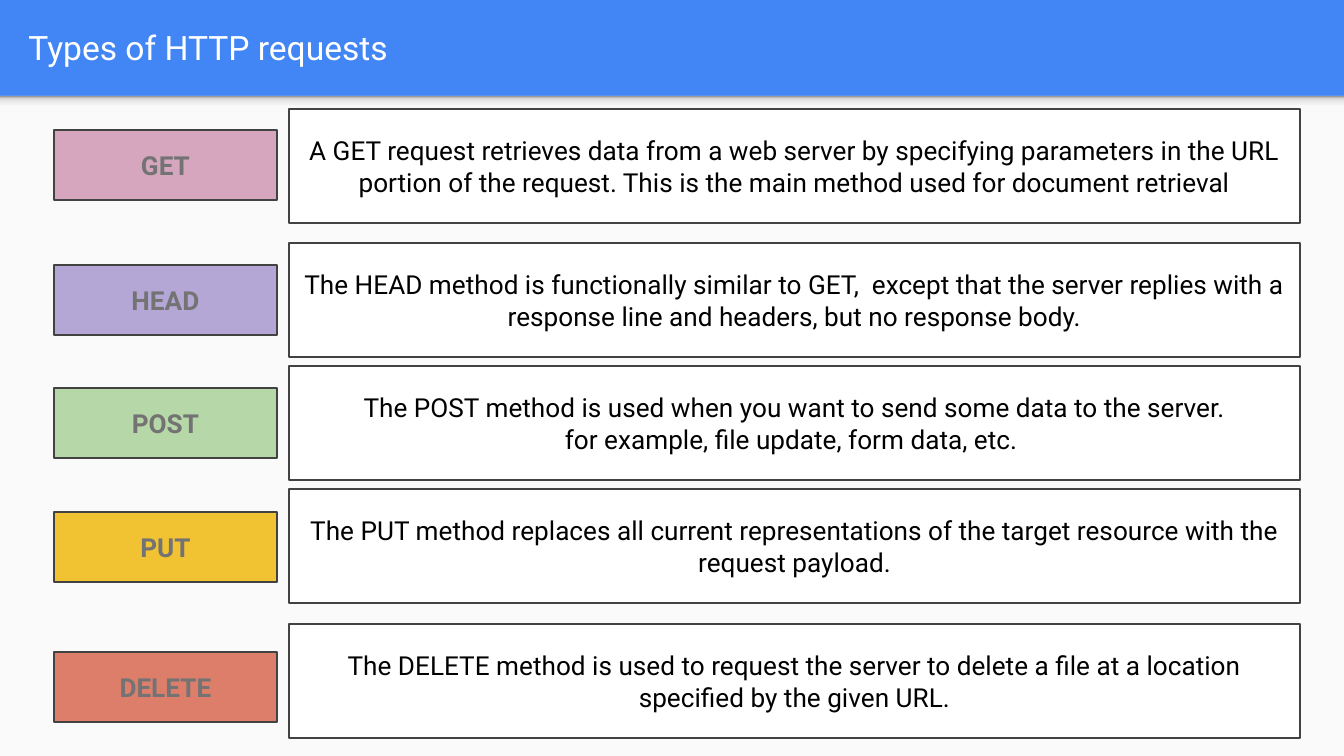
from copy import deepcopy

from pptx import Presentation
from pptx import util as u
from pptx.dml.color import RGBColor
from pptx.enum import shapes, text
from pptx.oxml.ns import qn

SCALE = 9144000 / 1344  # EMU per px


def px(*lengths):
    return [u.Emu(round(length * SCALE)) for length in lengths]


def write(box, words, size=14, color="000000", bold=False, align=text.PP_ALIGN.CENTER):
    frame = box.text_frame
    frame.word_wrap = True
    frame.auto_size = text.MSO_AUTO_SIZE.NONE
    frame.vertical_anchor = text.MSO_ANCHOR.MIDDLE
    frame.margin_left = frame.margin_right = u.Inches(0.1)
    frame.margin_top = frame.margin_bottom = u.Inches(0.1)
    frame.text = words
    for para in frame.paragraphs:
        para.alignment = align
        for span in para.runs:
            span.font.name = "Roboto"
            span.font.size = u.Pt(size)
            span.font.bold = bold
            span.font.color.rgb = RGBColor.from_string(color)


deck = Presentation()
deck.slide_width, deck.slide_height = px(1344, 756)
page = deck.slides.add_slide(deck.slide_layouts[5])

# Blue background, which shows as the title band
page.background.fill.solid()
page.background.fill.fore_color.rgb = RGBColor.from_string("4285F4")

# Light content panel
panel = page.shapes.add_shape(shapes.MSO_SHAPE.RECTANGLE, *px(0, 96, 1344, 660))
panel.shadow.inherit = False
panel.fill.solid()
panel.fill.fore_color.rgb = RGBColor.from_string("FAFAFA")
panel.line.fill.background()

# Soft shade under the title band
shade = page.shapes.add_shape(shapes.MSO_SHAPE.RECTANGLE, *px(0, 96, 1344, 16))
shade.shadow.inherit = False
shade.line.fill.background()
shade.fill.gradient()
shade.fill.gradient_angle = 90
stop_list = shade._element.spPr.find(".//" + qn("a:gsLst"))
for stop in list(stop_list):
    stop_list.append(deepcopy(stop))
shade_stops = [(0, "F9F9F9"), (0.36, "F9F9F9"), (0.8, "DEDEDE"), (1, "999999")]
for stop, (position, color) in zip(shade.fill.gradient_stops, shade_stops):
    stop.position = position
    stop.color.rgb = RGBColor.from_string(color)

# Title
title = page.shapes.title
title.left, title.top, title.width, title.height = px(15, 3, 1297, 89)
write(title, "Types of HTTP requests", size=18, color="FFFFFF", align=text.PP_ALIGN.LEFT)

# One row per method: label top, description top, label fill, name, description
rows = [
    (130, 109, "D5A6BD", "GET",
     "A GET request retrieves data from a web server by specifying parameters in the URL "
     "portion of the request. This is the main method used for document retrieval"),
    (265, 243, "B4A7D6", "HEAD",
     "The HEAD method is functionally similar to GET,  except that the server replies with a "
     "response line and headers, but no response body."),
    (388, 366, "B6D7A8", "POST",
     "The POST method is used when you want to send some data to the server.\n"
     "for example, file update, form data, etc. "),
    (512, 489, "F1C232", "PUT",
     "The PUT method replaces all current representations of the target resource with the "
     "request payload."),
    (652, 624, "DD7E6B", "DELETE",
     "The DELETE method is used to request the server to delete a file at a location "
     "specified by the given URL."),
]
for label_top, detail_top, label_fill, method, description in rows:
    cells = [
        ((54, label_top, 223, 70), label_fill, method, {"color": "737373", "bold": True}),
        ((289, detail_top, 1011, 114), "FFFFFF", description, {}),
    ]
    for place, fill, words, style in cells:
        box = page.shapes.add_shape(shapes.MSO_SHAPE.RECTANGLE, *px(*place))
        box.shadow.inherit = False
        box.fill.solid()
        box.fill.fore_color.rgb = RGBColor.from_string(fill)
        box.line.color.rgb = RGBColor.from_string("424242")
        box.line.width = u.Pt(0.75)
        write(box, words, **style)

deck.save("out.pptx")
